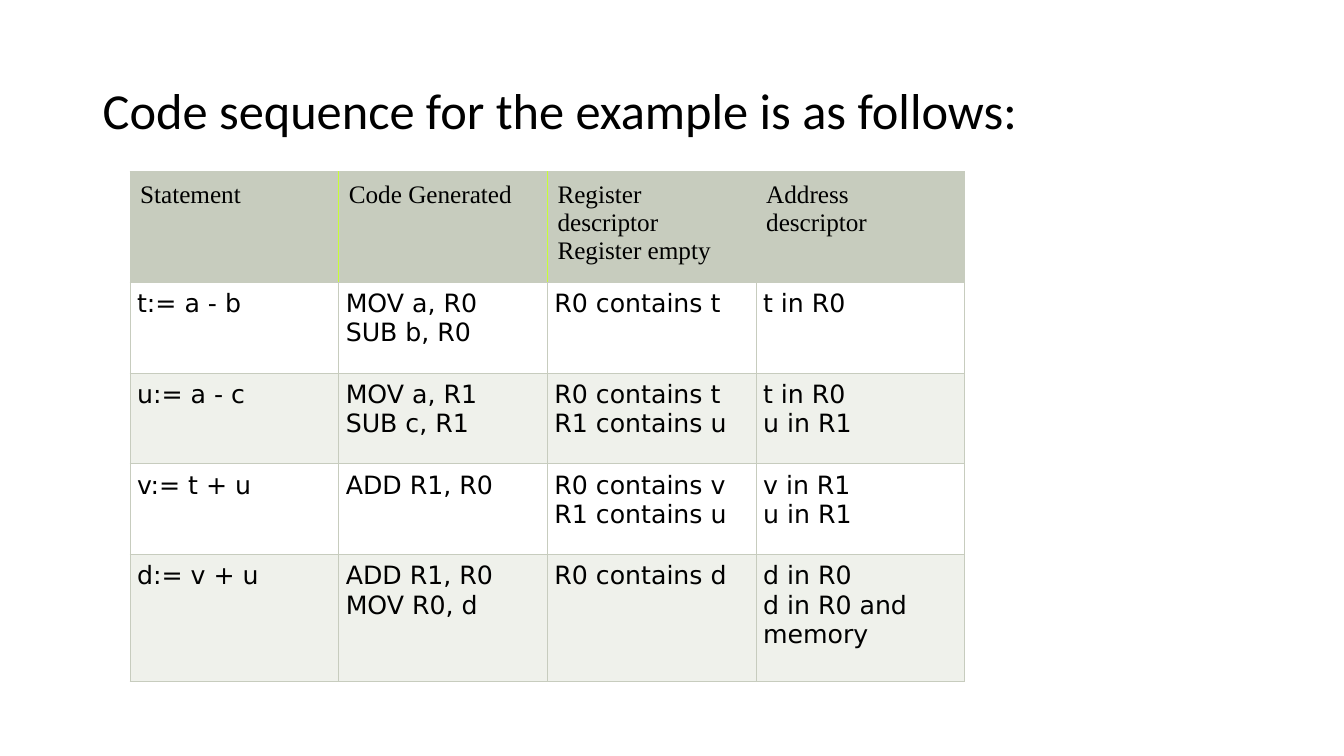
from dataclasses import dataclass

from lxml import etree
from pptx import Presentation
from pptx import util as u
from pptx.dml.color import RGBColor
from pptx.enum import text
from pptx.oxml import ns


@dataclass(frozen=True)
class Theme:
    """Colours, fonts and type sizes of the slide."""
    ink: str = "000000"
    header: str = "C7CCBE"
    accent: str = "C8FE36"
    bands: tuple = ("FFFFFF", "EFF1EB")
    title_font: str = "Calibri"
    header_font: str = "Times New Roman"
    body_font: str = "DejaVu Sans"
    title_size: int = 36
    table_size: int = 18
    border_width: float = 0.6


THEME = Theme()
TITLE = "Code sequence for the example is as follows:"
ROWS = [
    ("Statement", "Code Generated", "Register descriptor\nRegister empty", "Address descriptor"),
    ("t:= a - b", "MOV a, R0\nSUB b, R0", "R0 contains t", "t in R0"),
    ("u:= a - c", "MOV a, R1\nSUB c, R1", "R0 contains t\nR1 contains u", "t in R0\nu in R1"),
    ("v:= t + u", "ADD R1, R0", "R0 contains v\nR1 contains u", "v in R1\nu in R1"),
    ("d:= v + u", "ADD R1, R0\nMOV R0, d", "R0 contains d", "d in R0\nd in R0 and memory"),
]
ROW_HEIGHTS = (1.06, 0.9, 0.9, 0.9, 1.26)
COLUMN_WIDTH = 2.07
ACCENT_RULES = (1, 2)  # header column boundaries drawn in the accent colour


def add_runs(paragraph, content, font, size):
    """Add one run per line of content, with line breaks between."""
    for index, line in enumerate(content.split("\n")):
        if index:
            paragraph.add_line_break()
        run = paragraph.add_run()
        run.text = line
        run.font.name = font
        run.font.size = u.Pt(size)
        run.font.color.rgb = RGBColor.from_string(THEME.ink)


def add_title(slide):
    """Add the slide title."""
    box = slide.shapes.add_textbox(*map(u.Inches, (0.92, 0.4, 9.82, 1.45)))
    frame = box.text_frame
    frame.word_wrap = True
    frame.vertical_anchor = text.MSO_ANCHOR.MIDDLE
    paragraph = frame.paragraphs[0]
    paragraph.line_spacing = 0.9
    add_runs(paragraph, TITLE, THEME.title_font, THEME.title_size)


def set_borders(cell, left, right):
    """Draw the four cell borders, with own colours for the sides."""
    properties = cell._tc.get_or_add_tcPr()
    sides = {"L": left, "R": right, "T": THEME.header, "B": THEME.header}
    for side, colour in sides.items():
        line = etree.SubElement(properties, ns.qn(f"a:ln{side}"),
                                w=str(u.Pt(THEME.border_width)))
        fill = etree.SubElement(line, ns.qn("a:solidFill"))
        etree.SubElement(fill, ns.qn("a:srgbClr"), val=colour)


def fill_cell(cell, content, row, column):
    """Style and fill one table cell according to its place."""
    is_header = row == 0
    left, right = (THEME.accent if is_header and rule in ACCENT_RULES else THEME.header
                   for rule in (column, column + 1))
    set_borders(cell, left, right)
    cell.fill.solid()
    colour = THEME.header if is_header else THEME.bands[(row - 1) % 2]
    cell.fill.fore_color.rgb = RGBColor.from_string(colour)
    inset = u.Inches(0.1 if is_header else 0.07)
    cell.margin_left = cell.margin_right = cell.margin_top = cell.margin_bottom = inset
    font = THEME.header_font if is_header else THEME.body_font
    add_runs(cell.text_frame.paragraphs[0], content, font, THEME.table_size)


def add_code_table(slide):
    """Add the table of statements, code and descriptors."""
    columns = len(ROWS[0])
    frame = slide.shapes.add_table(
        len(ROWS), columns, u.Inches(1.29), u.Inches(1.7),
        u.Inches(COLUMN_WIDTH * columns), u.Inches(sum(ROW_HEIGHTS)))
    table = frame.table
    for column in table.columns:
        column.width = u.Inches(COLUMN_WIDTH)
    for row, (contents, height) in enumerate(zip(ROWS, ROW_HEIGHTS)):
        table.rows[row].height = u.Inches(height)
        for column, content in enumerate(contents):
            fill_cell(table.cell(row, column), content, row, column)


def main():
    """Build and save the slide."""
    presentation = Presentation()
    presentation.slide_width = u.Inches(13.33)
    presentation.slide_height = u.Inches(7.5)
    slide = presentation.slides.add_slide(presentation.slide_layouts[6])
    add_title(slide)
    add_code_table(slide)
    presentation.save("out.pptx")


main()
